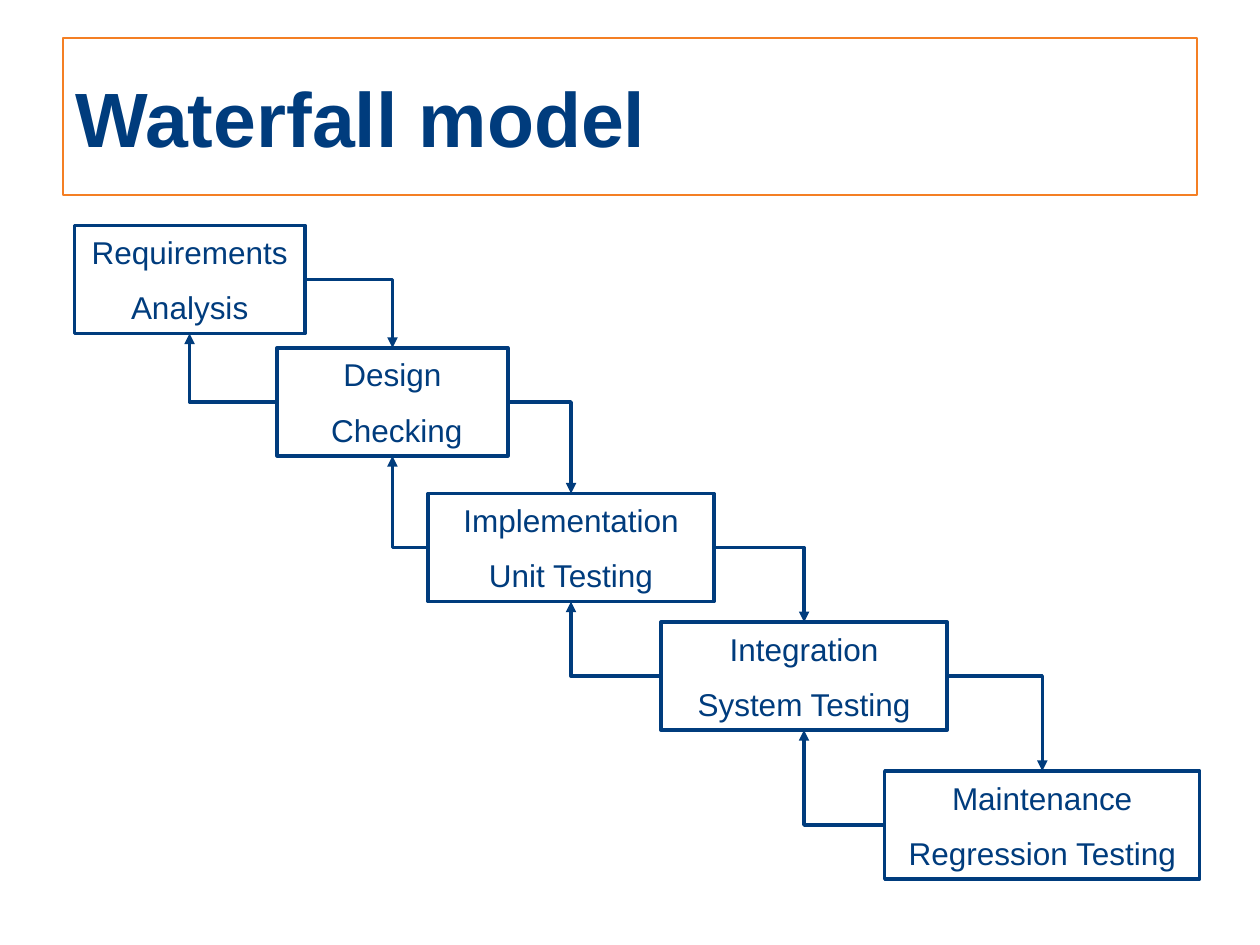
"""Build the waterfall model slide."""
from dataclasses import dataclass
from itertools import pairwise

from lxml.etree import SubElement
from pptx import Presentation
from pptx.dml.color import RGBColor as Rgb
from pptx.enum.shapes import MSO_CONNECTOR as Connector, MSO_SHAPE as Shape
from pptx.enum.text import MSO_ANCHOR as Anchor, PP_ALIGN as Align
from pptx.oxml.ns import qn
from pptx.util import Pt


@dataclass(frozen=True)
class Theme:
    """Colours, font and type sizes of the slide."""
    navy: Rgb = Rgb(0x00, 0x3C, 0x7D)
    orange: Rgb = Rgb(0xF4, 0x7F, 0x24)
    font: str = "Arial"
    title_size: int = 44
    phase_size: int = 18
    phase_gap: int = 10


THEME = Theme()
TOP, LEFT, BOTTOM, RIGHT = range(4)
PHASE_HEIGHT = 61.8
PHASES = [
    (42.5, 128.8, 131.8, ("Requirements", "Analysis")),
    (158.4, 198.8, 131.8, ("Design", " Checking")),
    (244.6, 282, 163.4, ("Implementation", "Unit Testing")),
    (377.8, 355.5, 163.4, ("Integration", "System Testing")),
    (505.6, 440.6, 180, ("Maintenance", "Regression Testing")),
]


def add_box(page, left, top, width, height, colour, weight):
    """Add an unfilled outlined rectangle."""
    box = page.shapes.add_shape(
        Shape.RECTANGLE, Pt(left), Pt(top), Pt(width), Pt(height))
    box.shadow.inherit = False
    box.fill.background()
    box.line.color.rgb = colour
    box.line.width = Pt(weight)
    box.text_frame.word_wrap = True
    box.text_frame.vertical_anchor = Anchor.MIDDLE
    return box


def write_lines(box, lines, size, align, gap=0, bold=False):
    """Write each line as its own paragraph in the box."""
    frame = box.text_frame
    for index, line in enumerate(lines):
        para = frame.add_paragraph() if index else frame.paragraphs[0]
        para.alignment = align
        para.space_before = Pt(gap if index else 0)
        span = para.add_run()
        span.text = line
        span.font.name = THEME.font
        span.font.size = Pt(size)
        span.font.bold = bold
        span.font.color.rgb = THEME.navy


def add_title(page, text):
    """Add the framed slide title."""
    box = add_box(page, 36, 21.6, 648, 90, THEME.orange, 1)
    write_lines(box, [text], THEME.title_size, Align.LEFT, bold=True)


def add_phase(page, left, top, width, lines):
    """Add one phase of the waterfall."""
    box = add_box(page, left, top, width, PHASE_HEIGHT, THEME.navy, 2)
    write_lines(box, lines, THEME.phase_size, Align.CENTER, THEME.phase_gap)
    return box


def add_arrow(page, source, source_side, target, target_side):
    """Join two boxes with a single-bend arrow."""
    arrow = page.shapes.add_connector(Connector.ELBOW, 0, 0, 0, 0)
    arrow.begin_connect(source, source_side)
    arrow.end_connect(target, target_side)
    arrow.line.color.rgb = THEME.navy
    arrow.line.width = Pt(2)
    properties = arrow.element.spPr
    properties.find(qn("a:prstGeom")).set("prst", "bentConnector2")
    SubElement(properties.find(qn("a:ln")), qn("a:tailEnd"), type="triangle")
    SubElement(properties, qn("a:effectLst"))


def main():
    """Create and save the deck."""
    deck = Presentation()
    deck.slide_width, deck.slide_height = Pt(720), Pt(540)
    page = deck.slides.add_slide(deck.slide_layouts[6])
    add_title(page, "Waterfall model")
    boxes = [add_phase(page, *phase) for phase in PHASES]
    for earlier, later in pairwise(boxes):
        add_arrow(page, earlier, RIGHT, later, TOP)
        add_arrow(page, later, LEFT, earlier, BOTTOM)
    deck.save("out.pptx")


main()
